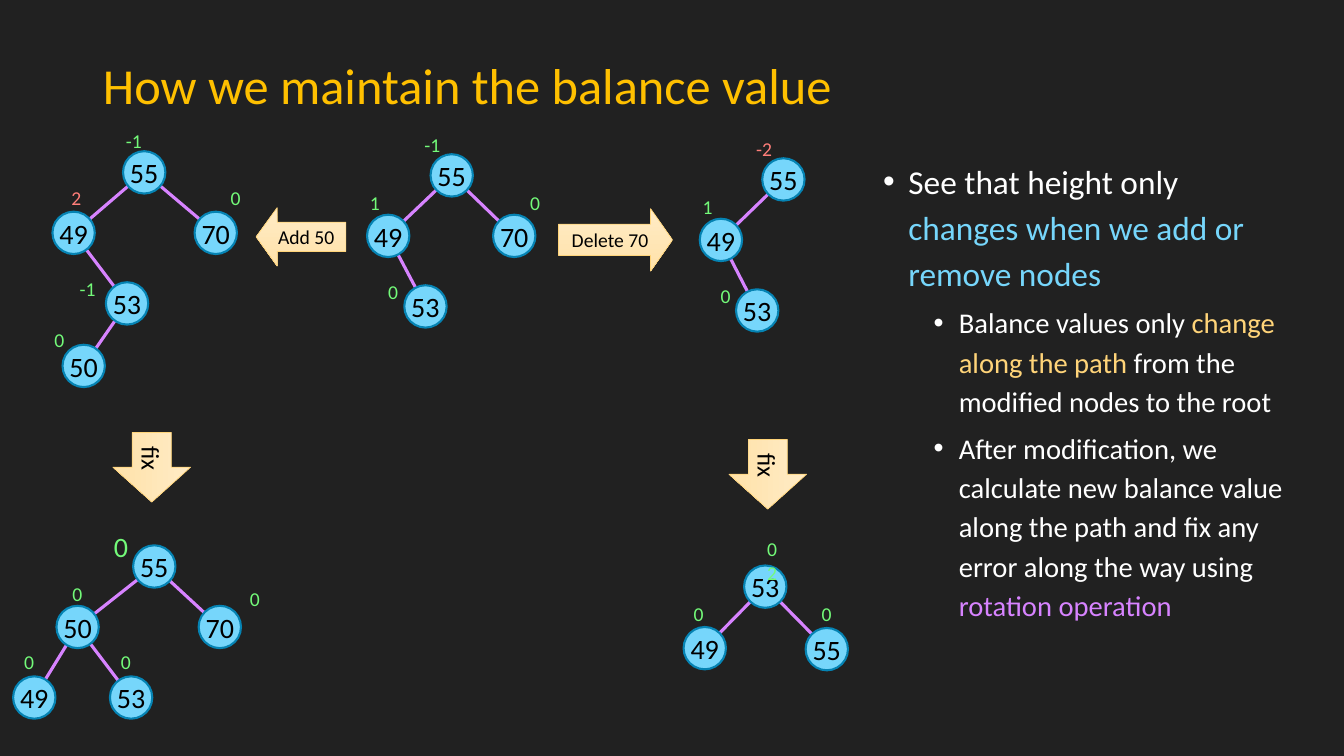
"""Build the slide about maintaining balance values in an AVL tree."""
from dataclasses import dataclass

import pptx
import pptx.dml.color
import pptx.enum.shapes
import pptx.enum.text
import pptx.oxml.ns
import pptx.util
from lxml import etree

PX = 9144
DIAMETER = 42
FONT = "Calibri"
COLORS = {
    "background": "212121", "title": "FFC000", "white": "FFFFFF", "black": "000000",
    "node": "76D6FB", "node_rim": "0583B3", "edge": "D783FF", "path": "FFD479",
    "balanced": "73FA79", "unbalanced": "FF7E79",
    "arrow_top": "FFEBC5", "arrow_bottom": "FFE2AA",
}
SHAPES = pptx.enum.shapes.MSO_SHAPE
ANCHOR_MIDDLE = pptx.enum.text.MSO_ANCHOR.MIDDLE
CENTER = pptx.enum.text.PP_ALIGN.CENTER


@dataclass
class Node:
    key: str
    left: int
    top: int
    balance: str
    balance_left: int
    balance_top: int
    parent: int | None = None
    balance_size: int = 14

    @property
    def center(self) -> tuple[int, int]:
        return self.left + DIAMETER // 2, self.top + DIAMETER // 2


@dataclass
class Step:
    label: str
    shape: SHAPES
    box: tuple[int, int, int, int]
    head: float
    size: int = 14
    rotation: int = 0


@dataclass
class Point:
    runs: list[tuple[str, str]]
    level: int
    size: float
    indent: float
    space: int


TREES = [
    [Node("55", 427, 153, "-1", 411, 127),
     Node("49", 364, 213, "1", 357, 184, 0),
     Node("70", 489, 213, "0", 516, 184, 0),
     Node("53", 401, 283, "0", 375, 273, 1)],
    [Node("53", 738, 561, "02", 751, 528),
     Node("49", 678, 622, "0", 678, 592, 0),
     Node("55", 799, 623, "0", 805, 592, 0)],
    [Node("55", 756, 157, "-2", 740, 131),
     Node("49", 694, 217, "1", 687, 188, 0),
     Node("53", 730, 287, "0", 705, 277, 1)],
    [Node("55", 122, 150, "-1", 115, 123),
     Node("49", 52, 210, "2", 61, 180, 0),
     Node("70", 193, 210, "0", 219, 180, 0),
     Node("53", 105, 280, "-1", 69, 270, 1),
     Node("50", 62, 342, "0", 44, 320, 3)],
    [Node("55", 132, 541, "0", 103, 520, balance_size=20),
     Node("50", 56, 601, "0", 62, 572, 0),
     Node("70", 197, 601, "0", 238, 577, 0),
     Node("49", 13, 671, "0", 14, 640, 1),
     Node("53", 109, 671, "0", 110, 640, 1)],
]
STEPS = [
    Step("fix", SHAPES.RIGHT_ARROW, (727, 432, 69, 77), 0.5, 18, 90),
    Step("fix", SHAPES.RIGHT_ARROW, (116, 425, 69, 77), 0.5, 18, 90),
    Step("Delete 70", SHAPES.RIGHT_ARROW, (554, 207, 113, 62), 0.35),
    Step("Add 50", SHAPES.LEFT_ARROW, (254, 206, 89, 58), 0.36),
]
POINTS = [
    Point([("See that height only ", "white"),
           ("changes when we add or remove nodes", "node")], 0, 23.8, 0.25, 0),
    Point([("Balance values only ", "white"), ("change along the path", "path"),
           (" from the modified nodes to the root", "white")], 1, 20.4, 0.75, 5),
    Point([("After modification, we calculate new balance value along the path "
            "and fix any error along the way using ", "white"),
           ("rotation operation", "edge")], 1, 20.4, 0.75, 5),
]


def px(*lengths: int) -> list[pptx.util.Emu]:
    return [pptx.util.Emu(length * PX) for length in lengths]


def rgb(name: str) -> pptx.dml.color.RGBColor:
    return pptx.dml.color.RGBColor.from_string(COLORS[name])


def style(font, size: float, color: str) -> None:
    font.name = FONT
    font.size = pptx.util.Pt(size)
    font.color.rgb = rgb(color)


def place(holder, left: int, top: int, width: int, height: int) -> None:
    holder.left, holder.top, holder.width, holder.height = px(left, top, width, height)


def write(frame, text: str, size: float, color: str) -> None:
    frame.text = text
    style(frame.paragraphs[0].runs[0].font, size, color)


def write_centered(frame, text: str, size: float) -> None:
    write(frame, text, size, "black")
    frame.vertical_anchor = ANCHOR_MIDDLE
    frame.paragraphs[0].alignment = CENTER


def draw_edge(slide, child: Node, parent: Node) -> None:
    edge = slide.shapes.add_connector(
        pptx.enum.shapes.MSO_CONNECTOR.STRAIGHT, *px(*child.center, *parent.center))
    edge.line.color.rgb = rgb("edge")
    edge.line.width = pptx.util.Pt(2.25)
    etree.SubElement(edge.element.spPr, pptx.oxml.ns.qn("a:effectLst"))


def draw_node(slide, node: Node) -> None:
    circle = slide.shapes.add_shape(
        SHAPES.OVAL, *px(node.left, node.top, DIAMETER, DIAMETER))
    circle.shadow.inherit = False
    circle.fill.solid()
    circle.fill.fore_color.rgb = rgb("node")
    circle.line.color.rgb = rgb("node_rim")
    circle.line.width = pptx.util.Pt(1.5)
    frame = circle.text_frame
    frame.margin_left = frame.margin_right = frame.margin_top = frame.margin_bottom = 0
    frame.word_wrap = False
    write_centered(frame, node.key, 20)


def draw_balance(slide, node: Node) -> None:
    height = 44 if node.balance_size == 20 else 34 if len(node.balance.strip("-")) == 1 else 57
    balance = slide.shapes.add_textbox(*px(node.balance_left, node.balance_top, 38, height))
    balance.text_frame.word_wrap = True
    balance.text_frame.auto_size = pptx.enum.text.MSO_AUTO_SIZE.SHAPE_TO_FIT_TEXT
    color = "unbalanced" if node.balance in ("2", "-2") else "balanced"
    write(balance.text_frame, node.balance, node.balance_size, color)


def draw_tree(slide, tree: list[Node]) -> None:
    for node in tree:
        if node.parent is not None:
            draw_edge(slide, node, tree[node.parent])
    for node in tree:
        draw_node(slide, node)
    for node in tree:
        draw_balance(slide, node)


def draw_step(slide, step: Step) -> None:
    arrow = slide.shapes.add_shape(step.shape, *px(*step.box))
    arrow.shadow.inherit = False
    arrow.rotation = step.rotation
    arrow.adjustments[1] = step.head
    arrow.fill.gradient()
    arrow.fill.gradient_angle = 270
    for stop, color in zip(arrow.fill.gradient_stops, ("arrow_top", "arrow_bottom")):
        stop.color.rgb = rgb(color)
    arrow.line.color.rgb = rgb("path")
    arrow.line.width = pptx.util.Pt(0.5)
    write_centered(arrow.text_frame, step.label, step.size)


def write_point(paragraph, point: Point) -> None:
    paragraph.level = point.level
    paragraph.line_spacing = 1.15
    paragraph.space_before = pptx.util.Pt(point.space)
    properties = paragraph._p.get_or_add_pPr()
    properties.set("marL", str(pptx.util.Inches(point.indent)))
    properties.set("indent", str(pptx.util.Inches(-0.25)))
    etree.SubElement(properties, pptx.oxml.ns.qn("a:buChar"), char="•")
    for text, color in point.runs:
        run = paragraph.add_run()
        run.text = text
        style(run.font, point.size, color)


def main() -> None:
    deck = pptx.Presentation()
    deck.slide_width, deck.slide_height = px(1333, 750)
    slide = deck.slides.add_slide(deck.slide_layouts[1])
    slide.background.fill.solid()
    slide.background.fill.fore_color.rgb = rgb("background")

    title = slide.shapes.title
    place(title, 92, 40, 1150, 95)
    write(title.text_frame, "How we maintain the balance value", 36, "title")
    title.text_frame.vertical_anchor = ANCHOR_MIDDLE
    title.text_frame.paragraphs[0].alignment = pptx.enum.text.PP_ALIGN.LEFT
    title.text_frame.paragraphs[0].line_spacing = 0.9

    body = slide.placeholders[1]
    place(body, 866, 149, 424, 477)
    body.text_frame.auto_size = pptx.enum.text.MSO_AUTO_SIZE.NONE
    for index, point in enumerate(POINTS):
        frame = body.text_frame
        write_point(frame.add_paragraph() if index else frame.paragraphs[0], point)

    for tree in TREES:
        draw_tree(slide, tree)
    for step in STEPS:
        draw_step(slide, step)
    deck.save("out.pptx")


if __name__ == "__main__":
    main()
